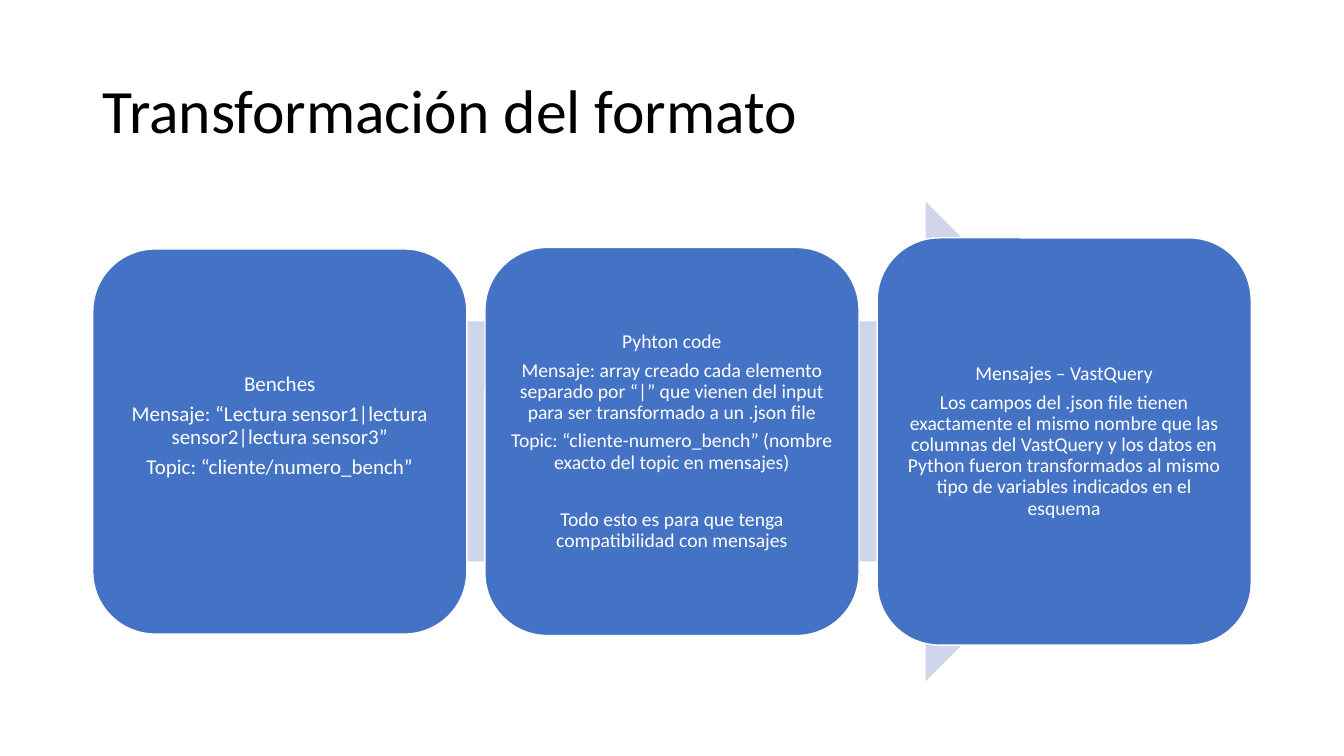
"""Builds the slide on the three steps of the format change."""
from dataclasses import dataclass

from pptx import Presentation
from pptx.dml.color import RGBColor
from pptx.enum.shapes import MSO_SHAPE
from pptx.enum.text import MSO_ANCHOR, PP_ALIGN
from pptx.shapes.autoshape import Shape
from pptx.slide import Slide
from pptx.util import Inches, Pt

FONT = "Calibri"
MID = 4.38
LEFT = 0.92
WIDTH = 3.71
STEP = 3.89
INSET = 0.06
GAP = 5.25
WIDE = 25.5


@dataclass
class Line:
    """A paragraph and the space before it in points."""
    text: str
    gap: float = GAP


@dataclass
class Card:
    """A rounded card with its height, text size and paragraphs."""
    height: float
    size: int
    lines: list[Line]
    lift: float = 0


CARDS = [
    Card(3.82, 15, [
        Line("Benches", 0),
        Line("Mensaje: “Lectura sensor1|lectura sensor2|lectura sensor3”"),
        Line("Topic: “cliente/numero_bench”"),
    ], lift=0.3),
    Card(3.85, 14, [
        Line("Pyhton code", 0),
        Line("Mensaje: array creado cada elemento separado por “|” que vienen "
             "del input para ser transformado a un .json file"),
        Line("Topic: “cliente-numero_bench” (nombre exacto del topic en mensajes)"),
        Line("Todo esto es para que tenga compatibilidad con mensajes", WIDE),
    ]),
    Card(4.04, 14, [
        Line("Mensajes – VastQuery", 0),
        Line("Los campos del .json file tienen exactamente el mismo nombre que "
             "las columnas del VastQuery y los datos en Python fueron "
             "transformados al mismo tipo de variables indicados en el esquema"),
    ]),
]


def color(code: str) -> RGBColor:
    """Turn a hex string into a colour."""
    return RGBColor.from_string(code)


def add_form(slide: Slide, kind: MSO_SHAPE, left: float, width: float,
             height: float, fill: str) -> Shape:
    """Add a flat shape centred on the middle line."""
    form = slide.shapes.add_shape(kind, Inches(left), Inches(MID - height / 2),
                                  Inches(width), Inches(height))
    form.shadow.inherit = False
    form.fill.solid()
    form.fill.fore_color.rgb = color(fill)
    form.line.fill.background()
    return form


def add_card(slide: Slide, card: Card, left: float) -> None:
    """Draw one card with its text."""
    form = add_form(slide, MSO_SHAPE.ROUNDED_RECTANGLE, left, WIDTH,
                    card.height, "4472C4")
    form.line.color.rgb = color("FFFFFF")
    form.line.width = Pt(1)
    frame = form.text_frame
    frame.word_wrap = True
    frame.vertical_anchor = MSO_ANCHOR.MIDDLE
    frame.margin_left = frame.margin_right = frame.margin_top = Inches(INSET)
    frame.margin_bottom = Inches(INSET + card.lift)
    for i, line in enumerate(card.lines):
        para = frame.add_paragraph() if i else frame.paragraphs[0]
        para.text = line.text
        para.alignment = PP_ALIGN.CENTER
        para.line_spacing = 0.9
        para.space_before = Pt(line.gap)
        para.font.name = FONT
        para.font.size = Pt(card.size)
        para.font.color.rgb = color("FFFFFF")


def set_title(slide: Slide, text: str) -> None:
    """Place and format the title."""
    title = slide.shapes.title
    title.left, title.top = Inches(LEFT), Inches(0.4)
    title.width, title.height = Inches(11.5), Inches(1.45)
    title.text_frame.vertical_anchor = MSO_ANCHOR.MIDDLE
    para = title.text_frame.paragraphs[0]
    para.text = text
    para.alignment = PP_ALIGN.LEFT
    para.line_spacing = 0.9
    para.font.name = FONT
    para.font.size = Pt(44)
    para.font.color.rgb = color("000000")


def main() -> None:
    """Build and save the slide."""
    deck = Presentation()
    deck.slide_width, deck.slide_height = Inches(13.33), Inches(7.5)
    slide = deck.slides.add_slide(deck.slide_layouts[5])
    set_title(slide, "Transformación del formato")
    add_form(slide, MSO_SHAPE.RIGHT_ARROW, 1.78, 9.78, 4.76, "CFD5EA")
    for i, card in enumerate(CARDS):
        add_card(slide, card, LEFT + i * STEP)
    deck.save("out.pptx")


if __name__ == "__main__":
    main()
